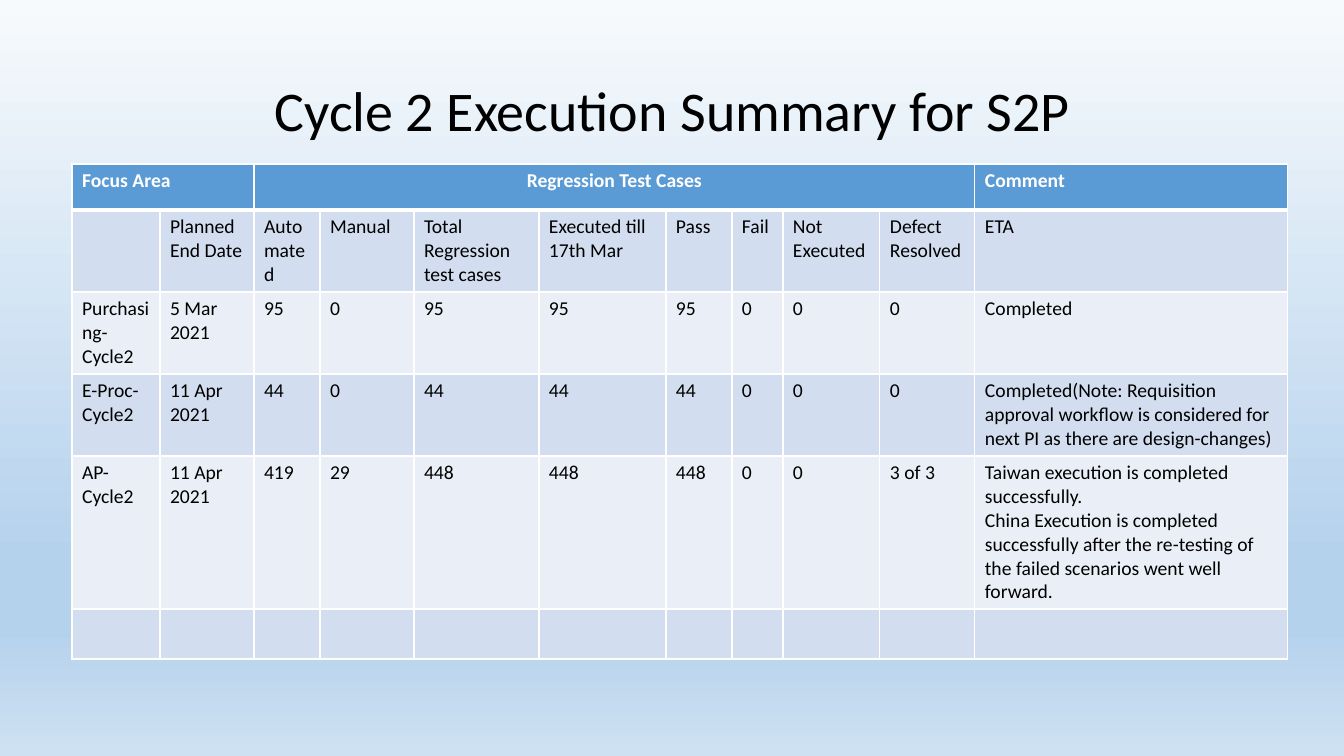
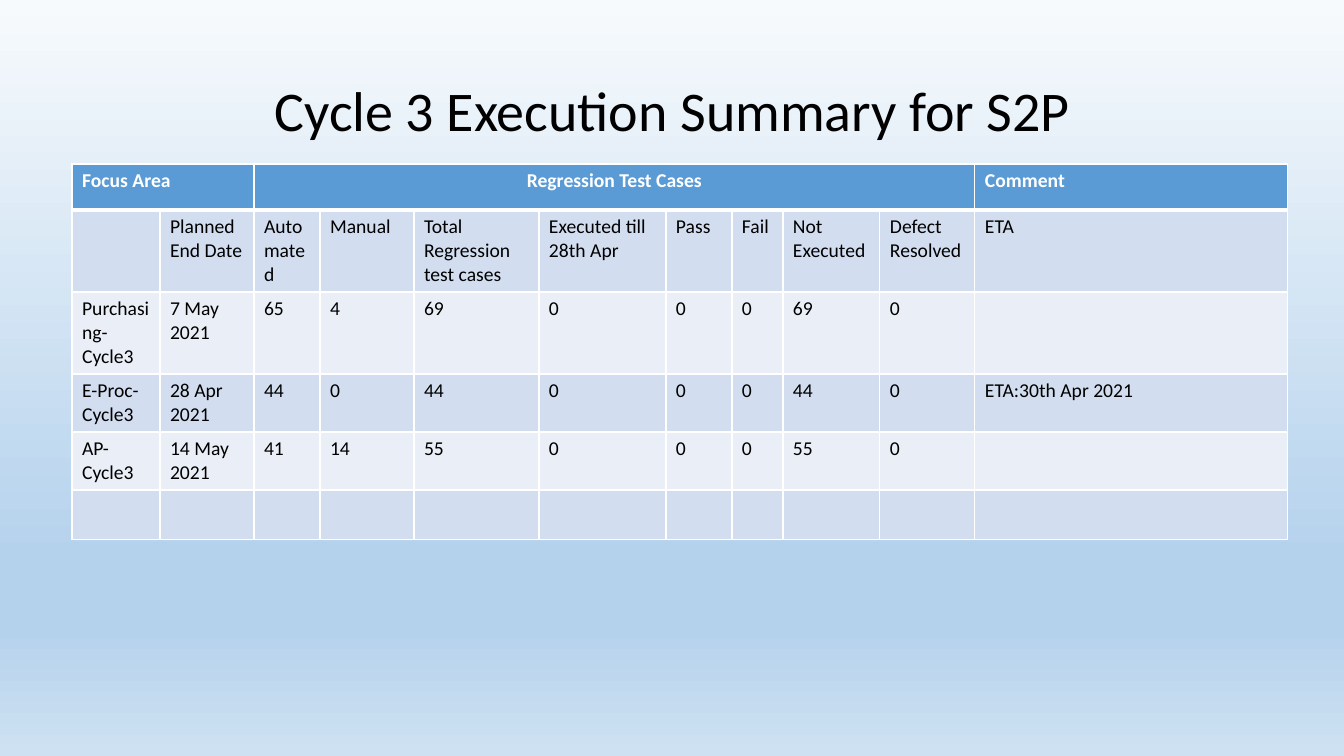
from lxml.etree import SubElement
from pptx import Presentation
from pptx.dml.color import RGBColor
from pptx.enum.text import MSO_ANCHOR, PP_ALIGN
from pptx.oxml.ns import qn
from pptx.util import Pt

PX = 914400 * 10 // 1008
FONT = "Calibri"
BLACK = RGBColor(0x00, 0x00, 0x00)
WHITE = RGBColor(0xFF, 0xFF, 0xFF)
HEADER_BLUE = RGBColor(0x5B, 0x9B, 0xD5)
BAND_DARK = RGBColor(0xD2, 0xDE, 0xEF)
BAND_LIGHT = RGBColor(0xEA, 0xEF, 0xF7)
SKY_TOP = RGBColor(0xF7, 0xFA, 0xFD)
SKY_DEEP = RGBColor(0xB5, 0xD2, 0xEC)
SKY_BOTTOM = RGBColor(0xCE, 0xE1, 0xF2)
SKY_STOPS = [(0, SKY_TOP), (74, SKY_DEEP), (83, SKY_DEEP), (100, SKY_BOTTOM)]

COLUMN_WIDTHS = [88, 94, 66, 94, 125, 127, 66, 51, 97, 95, 313]
GROUPS = [(0, 1, "Focus Area", PP_ALIGN.LEFT),
          (2, 9, "Regression Test Cases", PP_ALIGN.CENTER),
          (10, 10, "Comment", PP_ALIGN.LEFT)]

CYCLES = [
    (2, "17th Mar", [46, 82, 82, 82, 153, 50], [
        ["Purchasing", "5 Mar 2021", 95, 0, 95, 95, 95, 0, 0, 0, "Completed"],
        ["E-Proc", "11 Apr 2021", 44, 0, 44, 44, 44, 0, 0, 0,
         "Completed(Note: Requisition approval workflow is considered for "
         "next PI as there are design-changes)"],
        ["AP", "11 Apr 2021", 419, 29, 448, 448, 448, 0, 0, "3 of 3",
         "Taiwan execution is completed successfully.\n"
         "China Execution is completed successfully after the re-testing of "
         "the failed scenarios went well forward."],
    ]),
    (3, "28th Apr", [46, 82, 82, 58, 58, 50], [
        ["Purchasing", "7 May 2021", 65, 4, 69, 0, 0, 0, 69, 0, ""],
        ["E-Proc", "28 Apr 2021", 44, 0, 44, 0, 0, 0, 44, 0, "ETA:30th Apr 2021"],
        ["AP", "14 May 2021", 41, 14, 55, 0, 0, 0, 55, 0, ""],
    ]),
]


def style_text(frame, size, color, bold=False, align=PP_ALIGN.LEFT):
    for paragraph in frame.paragraphs:
        paragraph.alignment = align
        paragraph.font.name = FONT
        paragraph.font.size = Pt(size)
        paragraph.font.bold = bold
        paragraph.font.color.rgb = color


def style_cell(cell, fill, top, bottom):
    cell.fill.solid()
    cell.fill.fore_color.rgb = fill
    properties = cell._tc.get_or_add_tcPr()
    edges = [("a:lnL", 1), ("a:lnR", 1), ("a:lnT", top), ("a:lnB", bottom)]
    for position, (edge, width) in enumerate(edges):
        line = SubElement(properties, qn(edge), w=str(Pt(width)))
        SubElement(SubElement(line, qn("a:solidFill")), qn("a:srgbClr"), val=str(WHITE))
        properties.insert(position, line)


prs = Presentation()
prs.slide_width = 1344 * PX
prs.slide_height = 756 * PX

sky = prs.slide_master.background.fill
sky.gradient()
sky.gradient_angle = 270
stop_list = next(prs.slide_master.element.iter(qn("a:gsLst")))
for stop in list(stop_list):
    stop_list.remove(stop)
for percent, color in SKY_STOPS:
    stop = SubElement(stop_list, qn("a:gs"), pos=str(percent * 1000))
    SubElement(stop, qn("a:srgbClr"), val=str(color))

for cycle, executed_till, row_heights, areas in CYCLES:
    slide = prs.slides.add_slide(prs.slide_layouts[6])

    title = slide.shapes.add_textbox(93 * PX, 40 * PX, 1159 * PX, 146 * PX).text_frame
    title.word_wrap = True
    title.vertical_anchor = MSO_ANCHOR.MIDDLE
    title.text = f"Cycle {cycle} Execution Summary for S2P"
    title.paragraphs[0].line_spacing = 0.9
    style_text(title, 40, BLACK, align=PP_ALIGN.CENTER)

    summary = slide.shapes.add_table(
        len(row_heights), len(COLUMN_WIDTHS), 72 * PX, 164 * PX,
        sum(COLUMN_WIDTHS) * PX, sum(row_heights) * PX).table
    for column, width in zip(summary.columns, COLUMN_WIDTHS):
        column.width = width * PX
    for row, height in zip(summary.rows, row_heights):
        row.height = height * PX

    for index in range(len(COLUMN_WIDTHS)):
        style_cell(summary.cell(0, index), HEADER_BLUE, 1, 3)
    for first, last, heading, align in GROUPS:
        group = summary.cell(0, first)
        if last > first:
            group.merge(summary.cell(0, last))
        group.text = heading
        style_text(group.text_frame, 14, WHITE, True, align)

    labels = ["", "Planned End Date", "Automated", "Manual",
              "Total Regression test cases", f"Executed till {executed_till}",
              "Pass", "Fail", "Not Executed", "Defect Resolved", "ETA"]
    results = [[f"{area}-Cycle{cycle}", *values] for area, *values in areas]
    body = [labels, *results, [""] * len(labels)]
    for row_index, values in enumerate(body, 1):
        band = BAND_DARK if row_index % 2 else BAND_LIGHT
        for column_index, value in enumerate(values):
            cell = summary.cell(row_index, column_index)
            style_cell(cell, band, 3 if row_index == 1 else 1, 1)
            cell.text = str(value)
            style_text(cell.text_frame, 14, BLACK)

prs.save("out.pptx")
